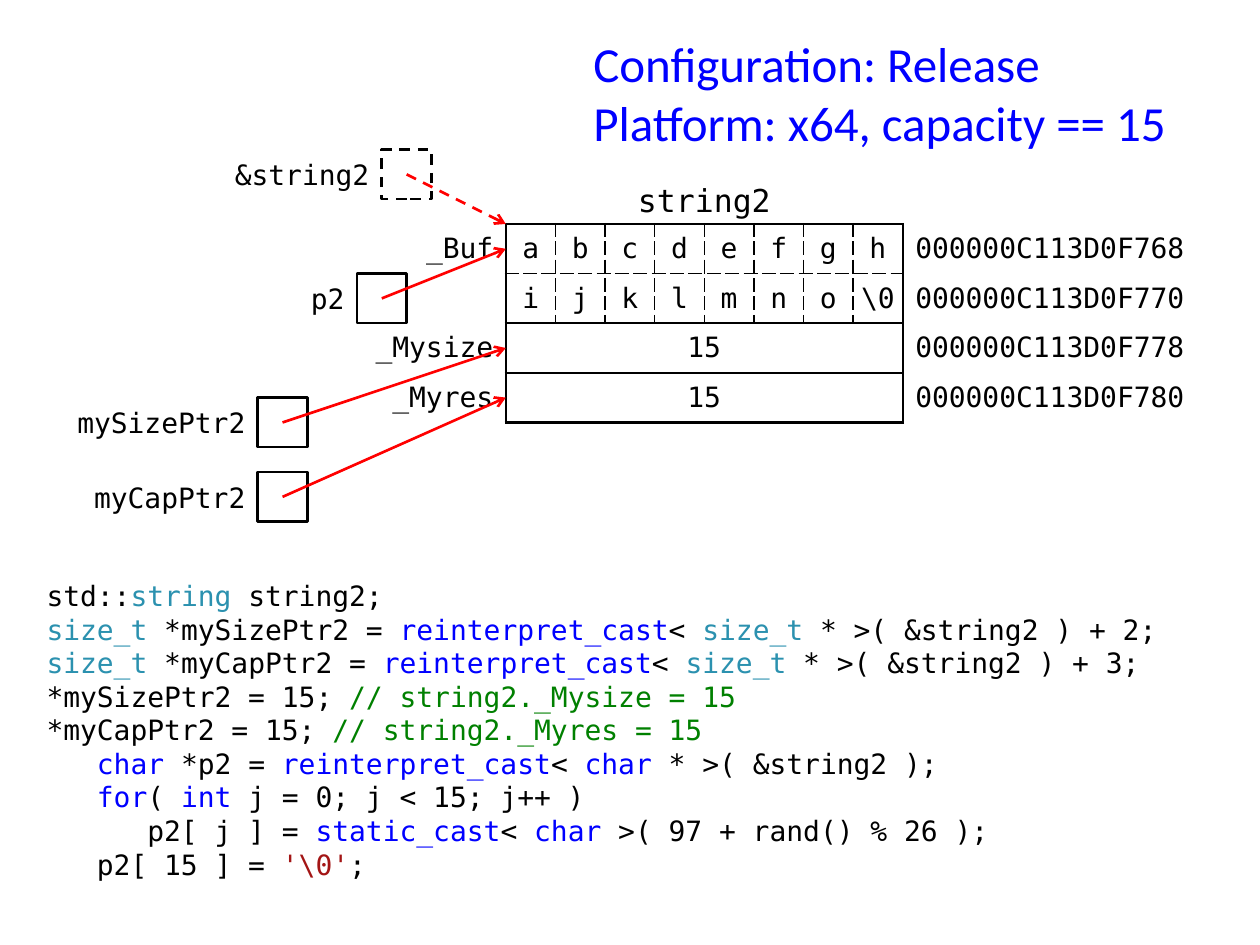
from dataclasses import dataclass
from typing import Optional

from lxml import etree
from pptx import Presentation
from pptx import util as u
from pptx.dml.color import RGBColor
from pptx.enum import dml, shapes, text
from pptx.oxml import ns

Pt = u.Pt
ALIGN = text.PP_ALIGN
ANCHOR = text.MSO_ANCHOR


@dataclass(frozen=True)
class Theme:
    ink: str = "000000"
    keyword: str = "0000FF"
    type_name: str = "2B91AF"
    comment: str = "008000"
    literal: str = "A31515"
    title: str = "0000FF"
    arrow: str = "FF0000"
    code_font: str = "DejaVu Sans Mono"
    title_font: str = "Calibri"
    title_size: float = 28
    caption_size: float = 18
    code_size: float = 16
    code_leading: float = 19.2
    heavy: float = 1.5
    light: float = 1


@dataclass(frozen=True)
class Pointer:
    """A labelled box and its arrow, in grid units from the table's corner."""
    label: str
    label_units: float
    column: float
    row: float
    target_row: float
    dashed: bool = False


@dataclass(frozen=True)
class Border:
    width: float
    dashed: bool = False


THEME = Theme()
HEAVY, LIGHT, DASHED = Border(THEME.heavy), Border(THEME.light), Border(THEME.light, True)

# Everything in the diagram sits on a square grid
UNIT, GRID_LEFT, GRID_TOP = 28.35, 204, 128
NAME_UNITS, BYTE_COUNT, ADDRESS_UNITS = 3, 8, 6

FIELD_NAMES = ["_Buf", "", "_Mysize", "_Myres"]
FIELD_VALUES = [list("abcdefgh"), list("ijklmno") + ["\\0"], ["15"], ["15"]]
ADDRESSES = [f"000000C113D0F7{ending}" for ending in ("68", "70", "78", "80")]

POINTERS = [
    Pointer("&string2", 3.5, 0.5, -1.5, 0, dashed=True),
    Pointer("p2", 1.5, 0, 1, 0.5),
    Pointer("mySizePtr2", 4, -2, 3.5, 2.5),
    Pointer("myCapPtr2", 4, -2, 5, 3.5),
]

Span = tuple[str, str]


def plain(words: str) -> Span:
    return words, THEME.ink


def keyword(words: str) -> Span:
    return words, THEME.keyword


def type_name(words: str) -> Span:
    return words, THEME.type_name


def cast_line(name: str, offset: int) -> list[Span]:
    return [type_name("size_t "), plain(f"*{name} = "), keyword("reinterpret_cast"),
            plain("< "), type_name("size_t"), plain(f" * >( &string2 ) + {offset};")]


def assign_line(name: str, field: str) -> list[Span]:
    return [plain(f"*{name} = 15; "), (f"// string2.{field} = 15", THEME.comment)]


CODE = [
    [plain("std::"), type_name("string "), plain("string2;")],
    cast_line("mySizePtr2", 2),
    cast_line("myCapPtr2", 3),
    assign_line("mySizePtr2", "_Mysize"),
    assign_line("myCapPtr2", "_Myres"),
    [plain("   "), keyword("char"), plain(" *p2 = "), keyword("reinterpret_cast"),
     plain("< "), keyword("char"), plain(" * >( &string2 );")],
    [plain("   "), keyword("for"), plain("( "), keyword("int "), plain("j = 0; j < 15; j++ )")],
    [plain("      p2[ j ] = "), keyword("static_cast"), plain("< "), keyword("char"),
     plain(" >( 97 + rand() % 26 );")],
    [plain("   p2[ 15 ] = "), ("'\\0'", THEME.literal), plain(";")],
]


def style(paragraph, size: float, color: Optional[str] = THEME.ink,
          font: str = THEME.code_font, align=ALIGN.LEFT) -> None:
    paragraph.alignment = align
    paragraph.font.size, paragraph.font.name = Pt(size), font
    if color:
        paragraph.font.color.rgb = RGBColor.from_string(color)


def add_text_frame(slide, left: float, top: float, width: float, height: float,
                   anchor=ANCHOR.TOP):
    frame = slide.shapes.add_textbox(Pt(left), Pt(top), Pt(width), Pt(height)).text_frame
    frame.word_wrap, frame.vertical_anchor = True, anchor
    return frame


def add_code(slide) -> None:
    frame = add_text_frame(slide, 19.5, 327, 680, 184)
    for index, spans in enumerate(CODE):
        paragraph = frame.add_paragraph() if index else frame.paragraphs[0]
        style(paragraph, THEME.code_size, color=None)
        paragraph.line_spacing = Pt(THEME.code_leading)
        for words, color in spans:
            run = paragraph.add_run()
            run.text = words
            run.font.color.rgb = RGBColor.from_string(color)


def set_border(cell, side: str, border: Optional[Border]) -> None:
    properties = cell._tc.get_or_add_tcPr()
    line = etree.SubElement(properties, ns.qn(f"a:ln{side}"))
    if border is None:
        etree.SubElement(line, ns.qn("a:noFill"))
        return
    line.set("w", str(Pt(border.width)))
    fill = etree.SubElement(line, ns.qn("a:solidFill"))
    etree.SubElement(fill, ns.qn("a:srgbClr"), val=THEME.ink)
    dash = "sysDash" if border.dashed else "solid"
    etree.SubElement(line, ns.qn("a:prstDash"), val=dash)


def cell_borders(row: int, column: int) -> dict[str, Optional[Border]]:
    row_lines = [HEAVY, DASHED, LIGHT, LIGHT, HEAVY]
    column_lines = [None, HEAVY] + [DASHED] * (BYTE_COUNT - 1) + [HEAVY, None]
    inside = 1 <= column <= BYTE_COUNT
    return {"L": column_lines[column], "R": column_lines[column + 1],
            "T": row_lines[row] if inside else None,
            "B": row_lines[row + 1] if inside else None}


def fill_cell(cell, words: str, align, side_margin: float) -> None:
    cell.text = words
    cell.margin_left = cell.margin_right = Pt(side_margin)
    style(cell.text_frame.paragraphs[0], THEME.code_size, align=align)


def add_memory_table(slide) -> None:
    widths = [NAME_UNITS] + [1] * BYTE_COUNT + [ADDRESS_UNITS]
    table = slide.shapes.add_table(
        len(ADDRESSES), len(widths), Pt(GRID_LEFT), Pt(GRID_TOP),
        Pt(sum(widths) * UNIT), Pt(len(ADDRESSES) * UNIT)).table
    table.first_row = table.horz_banding = False
    for column, units in zip(table.columns, widths):
        column.width = Pt(units * UNIT)
    for row, address in enumerate(ADDRESSES):
        table.rows[row].height = Pt(UNIT)
        for column in range(len(widths)):
            cell = table.cell(row, column)
            cell.vertical_anchor = ANCHOR.MIDDLE
            cell.margin_top = cell.margin_bottom = Pt(3)
            for side, border in cell_borders(row, column).items():
                set_border(cell, side, border)
            cell.fill.background()
        fill_cell(table.cell(row, 0), FIELD_NAMES[row], ALIGN.RIGHT, 7.2)
        fill_cell(table.cell(row, BYTE_COUNT + 1), address, ALIGN.LEFT, 7.2)
        values = FIELD_VALUES[row]
        if len(values) == 1:
            table.cell(row, 1).merge(table.cell(row, BYTE_COUNT))
        for column, value in enumerate(values, start=1):
            fill_cell(table.cell(row, column), value, ALIGN.CENTER, 0)


def add_pointer(slide, pointer: Pointer) -> None:
    left, top = GRID_LEFT + pointer.column * UNIT, GRID_TOP + pointer.row * UNIT
    label_width = pointer.label_units * UNIT
    label = add_text_frame(slide, left - label_width, top, label_width, UNIT, ANCHOR.MIDDLE)
    label.text = pointer.label
    style(label.paragraphs[0], THEME.code_size, align=ALIGN.RIGHT)

    box = slide.shapes.add_shape(shapes.MSO_SHAPE.RECTANGLE, Pt(left), Pt(top), Pt(UNIT), Pt(UNIT))
    box.shadow.inherit = False
    box.fill.background()
    arrow = slide.shapes.add_connector(
        shapes.MSO_CONNECTOR.STRAIGHT, Pt(left + UNIT / 2), Pt(top + UNIT / 2),
        Pt(GRID_LEFT + NAME_UNITS * UNIT), Pt(GRID_TOP + pointer.target_row * UNIT))
    for shape, color in ((box, THEME.ink), (arrow, THEME.arrow)):
        shape.line.color.rgb = RGBColor.from_string(color)
        shape.line.width = Pt(THEME.heavy)
        if pointer.dashed:
            shape.line.dash_style = dml.MSO_LINE.DASH
    etree.SubElement(arrow.line._get_or_add_ln(), ns.qn("a:tailEnd"), type="arrow")
    etree.SubElement(arrow._element.spPr, ns.qn("a:effectLst"))


def main() -> None:
    presentation = Presentation()
    presentation.slide_width, presentation.slide_height = Pt(720), Pt(540)
    slide = presentation.slides.add_slide(presentation.slide_layouts[6])

    # Heading and code listing
    add_code(slide)
    title = add_text_frame(slide, 332, 15.5, 354, 70.5)
    title.text = "Configuration: Release\vPlatform: x64, capacity == 15"
    style(title.paragraphs[0], THEME.title_size, THEME.title, THEME.title_font)

    # Memory layout with its caption and pointers
    caption = add_text_frame(slide, 345.75, 100, 113.4, 28)
    caption.text = "string2"
    style(caption.paragraphs[0], THEME.caption_size, align=ALIGN.CENTER)
    add_memory_table(slide)
    for pointer in POINTERS:
        add_pointer(slide, pointer)

    presentation.save("out.pptx")


if __name__ == "__main__":
    main()
